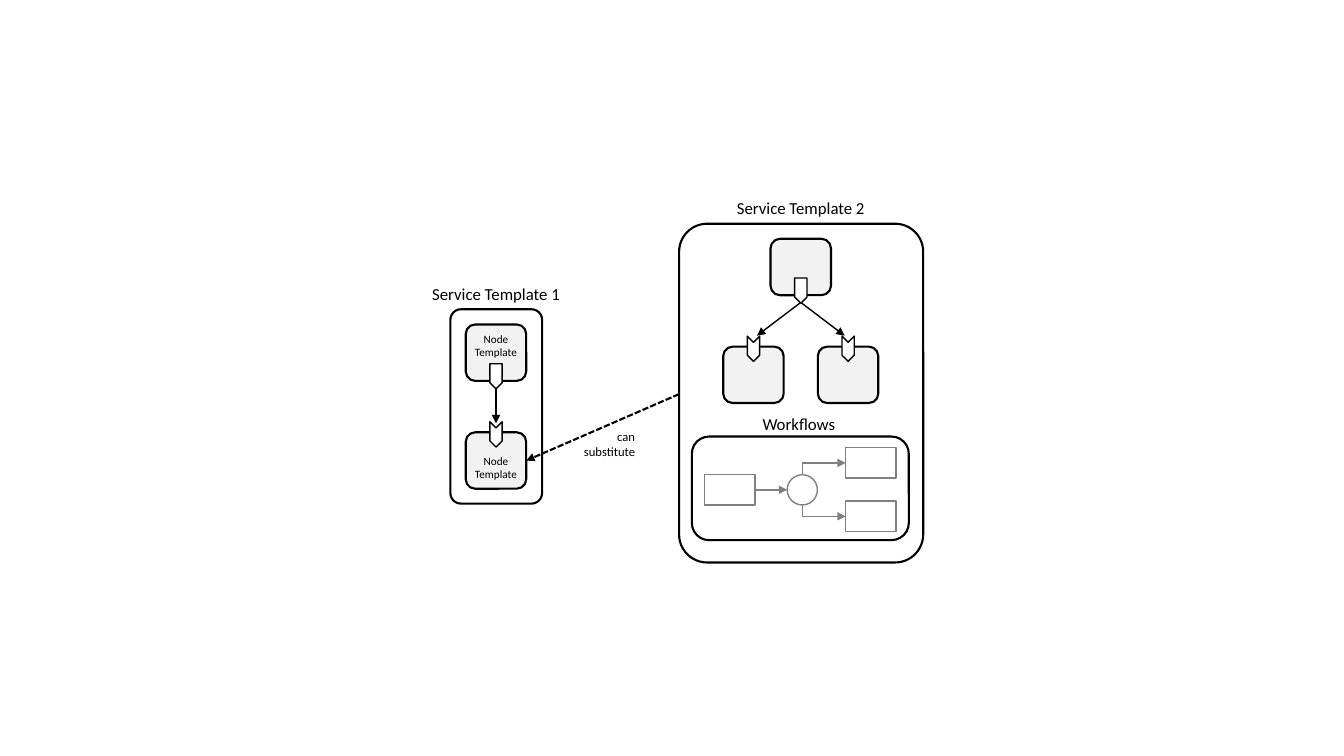
from dataclasses import dataclass

from lxml.etree import SubElement
from pptx import Presentation
from pptx.dml.color import RGBColor
from pptx.enum.dml import MSO_LINE
from pptx.enum.shapes import MSO_CONNECTOR, MSO_SHAPE
from pptx.enum.text import MSO_ANCHOR, MSO_AUTO_SIZE, PP_ALIGN
from pptx.oxml.ns import qn
from pptx.util import Pt


@dataclass(frozen=True)
class Theme:
    font: str = "Calibri"
    black: RGBColor = RGBColor(0, 0, 0)
    gray: RGBColor = RGBColor(0x80, 0x80, 0x80)
    white: RGBColor = RGBColor(0xFF, 0xFF, 0xFF)
    node_fill: RGBColor = RGBColor(0xF2, 0xF2, 0xF2)
    label_size: float = 12
    note_size: float = 9
    node_size: float = 8
    thick: float = 1.5
    thin: float = 1


class Diagram:
    """Draws service templates, their nodes and workflows on one slide."""

    node_width, node_height = 43.2, 40.3
    port_length, port_width = 18, 8.8

    def __init__(self, slide, theme):
        self.slide = slide
        self.theme = theme

    def shape(self, kind, left, top, width, height, fill, line, weight):
        shape = self.slide.shapes.add_shape(kind, Pt(left), Pt(top), Pt(width), Pt(height))
        shape.shadow.inherit = False
        if fill is None:
            shape.fill.background()
        else:
            shape.fill.solid()
            shape.fill.fore_color.rgb = fill
        shape.line.color.rgb = line
        shape.line.width = Pt(weight)
        return shape

    def frame(self, left, top, width, height, corner):
        shape = self.shape(MSO_SHAPE.ROUNDED_RECTANGLE, left, top, width, height,
                           None, self.theme.black, self.theme.thick)
        shape.adjustments[0] = corner

    def set_text(self, text_frame, text, size, alignment):
        text_frame.text = text
        paragraph = text_frame.paragraphs[0]
        paragraph.alignment = alignment
        paragraph.font.name = self.theme.font
        paragraph.font.size = Pt(size)
        paragraph.font.color.rgb = self.theme.black

    def label(self, text, center_x, top, width, alignment=PP_ALIGN.CENTER):
        box = self.slide.shapes.add_textbox(Pt(center_x - width / 2), Pt(top), Pt(width), Pt(21.8))
        box.text_frame.word_wrap = False
        box.text_frame.auto_size = MSO_AUTO_SIZE.SHAPE_TO_FIT_TEXT
        self.set_text(box.text_frame, text, self.theme.label_size, alignment)

    def note(self, text, left, top, width, height):
        box = self.slide.shapes.add_textbox(Pt(left), Pt(top), Pt(width), Pt(height))
        frame = box.text_frame
        frame.word_wrap = True
        frame.auto_size = MSO_AUTO_SIZE.SHAPE_TO_FIT_TEXT
        frame.margin_left = frame.margin_right = frame.margin_top = frame.margin_bottom = 0
        self.set_text(frame, text, self.theme.note_size, PP_ALIGN.RIGHT)

    def node(self, center_x, top, is_source, text=""):
        shape = self.shape(MSO_SHAPE.ROUNDED_RECTANGLE, center_x - self.node_width / 2, top,
                           self.node_width, self.node_height,
                           self.theme.node_fill, self.theme.black, self.theme.thick)
        if text:
            frame = shape.text_frame
            frame.margin_left = frame.margin_right = 0
            frame.vertical_anchor = MSO_ANCHOR.TOP if is_source else MSO_ANCHOR.BOTTOM
            self.set_text(frame, text, self.theme.node_size, PP_ALIGN.CENTER)
        kind, offset = (MSO_SHAPE.PENTAGON, 37) if is_source else (MSO_SHAPE.CHEVRON, 1.5)
        port = self.shape(kind, center_x - self.port_length / 2, top + offset - self.port_width / 2,
                          self.port_length, self.port_width,
                          self.theme.white, self.theme.black, self.theme.thin)
        port.rotation = 90

    def step(self, kind, left, center_y, width):
        height = 21.6
        self.shape(kind, left, center_y - height / 2, width, height,
                   self.theme.white, self.theme.gray, self.theme.thin)

    def line(self, start, end, color, weight=Theme.thin, arrow=True, dash=None):
        points = [Pt(value) for value in (*start, *end)]
        connector = self.slide.shapes.add_connector(MSO_CONNECTOR.STRAIGHT, *points)
        connector.line.color.rgb = color
        connector.line.width = Pt(weight)
        if dash:
            connector.line.dash_style = dash
        properties = connector.element.spPr
        if arrow:
            SubElement(properties.find(qn("a:ln")), qn("a:tailEnd"), type="triangle")
        SubElement(properties, qn("a:effectLst"))


def draw_substituting_template(diagram):
    center, top, half_gap = 572, 170.6, 33.8
    diagram.label("Service Template 2", center, 137.7, 107.4)
    diagram.frame(485.1, 159.8, 174.4, 242, 0.115)
    for side in (-1, 1):
        diagram.line((center, 216), (center + side * 31.3, 239.8), diagram.theme.black)
    diagram.node(center, top, True)
    for side in (-1, 1):
        diagram.node(center + side * half_gap, top + 77, False)


def draw_workflow(diagram):
    gray = diagram.theme.gray
    gateway_x, middle, task_left, task_width = 573.1, 349.9, 604.1, 36
    branches = (middle - 19.2, middle + 18.9)
    diagram.step(MSO_SHAPE.RECTANGLE, 503.3, middle, task_width)
    diagram.line((gateway_x, branches[0]), (gateway_x, branches[1]), gray, arrow=False)
    diagram.step(MSO_SHAPE.FLOWCHART_CONNECTOR, gateway_x - 10.8, middle, 21.6)
    diagram.line((539.3, middle), (gateway_x - 10.8, middle), gray)
    for branch in branches:
        diagram.line((gateway_x, branch), (task_left, branch), gray)
        diagram.step(MSO_SHAPE.RECTANGLE, task_left, branch, task_width)
    diagram.frame(494.2, 311.8, 155, 74, 0.1667)
    diagram.label("Workflows", 571.1, 292.2, 67, PP_ALIGN.LEFT)


def draw_substituted_template(diagram):
    center, top = 354.3, 231.8
    diagram.label("Service Template 1", center, 198.8, 107.4)
    diagram.frame(321.7, 220.9, 65.5, 138.8, 0.115)
    diagram.line((center, 275), (center, 302.4), diagram.theme.black)
    diagram.node(center, top, True, "Node Template")
    diagram.node(center, top + 77, False, "Node Template")


def main():
    presentation = Presentation()
    presentation.slide_width, presentation.slide_height = Pt(960), Pt(540)
    slide = presentation.slides.add_slide(presentation.slide_layouts[6])
    theme = Theme()
    diagram = Diagram(slide, theme)
    draw_substituting_template(diagram)
    draw_workflow(diagram)
    draw_substituted_template(diagram)
    diagram.line((485.1, 281.5), (375.9, 329), theme.black, theme.thick, dash=MSO_LINE.SQUARE_DOT)
    diagram.note("can substitute", 406.1, 306, 47.5, 21.8)
    presentation.save("out.pptx")


if __name__ == "__main__":
    main()
